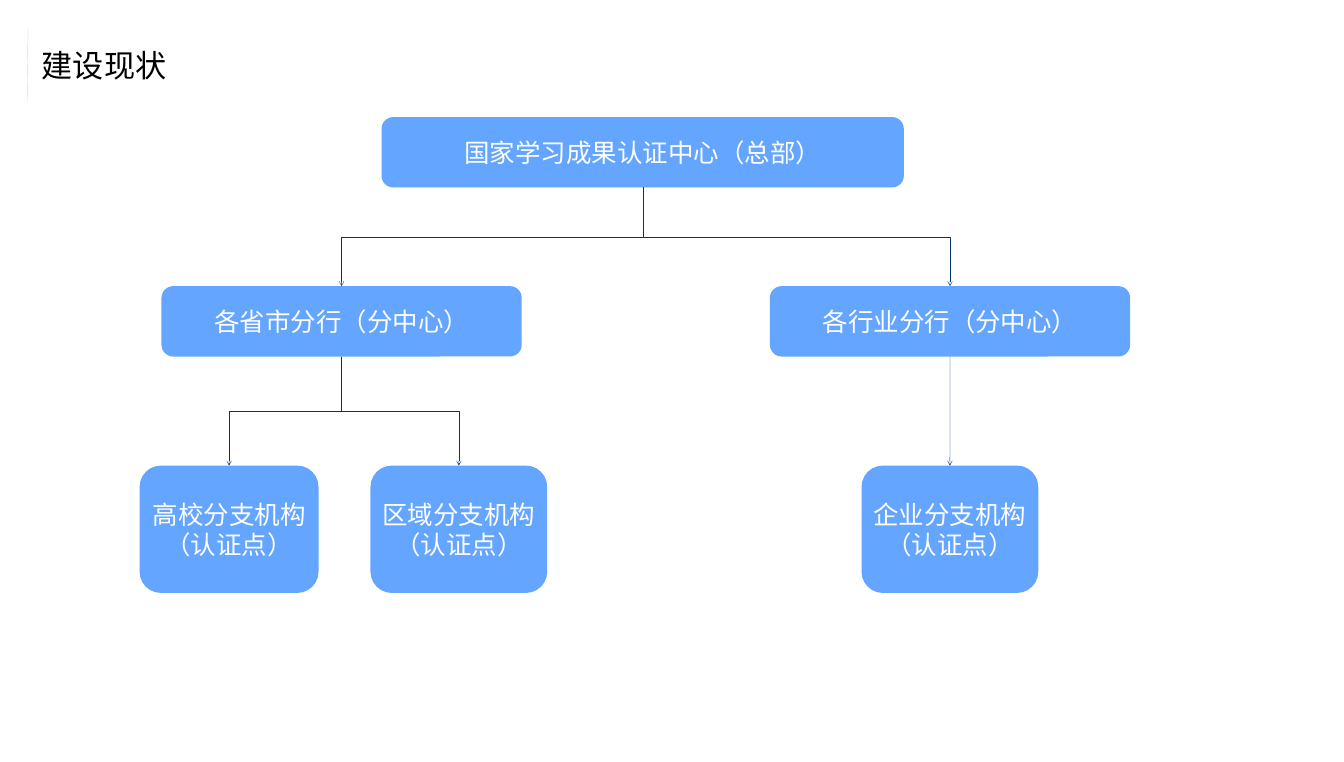
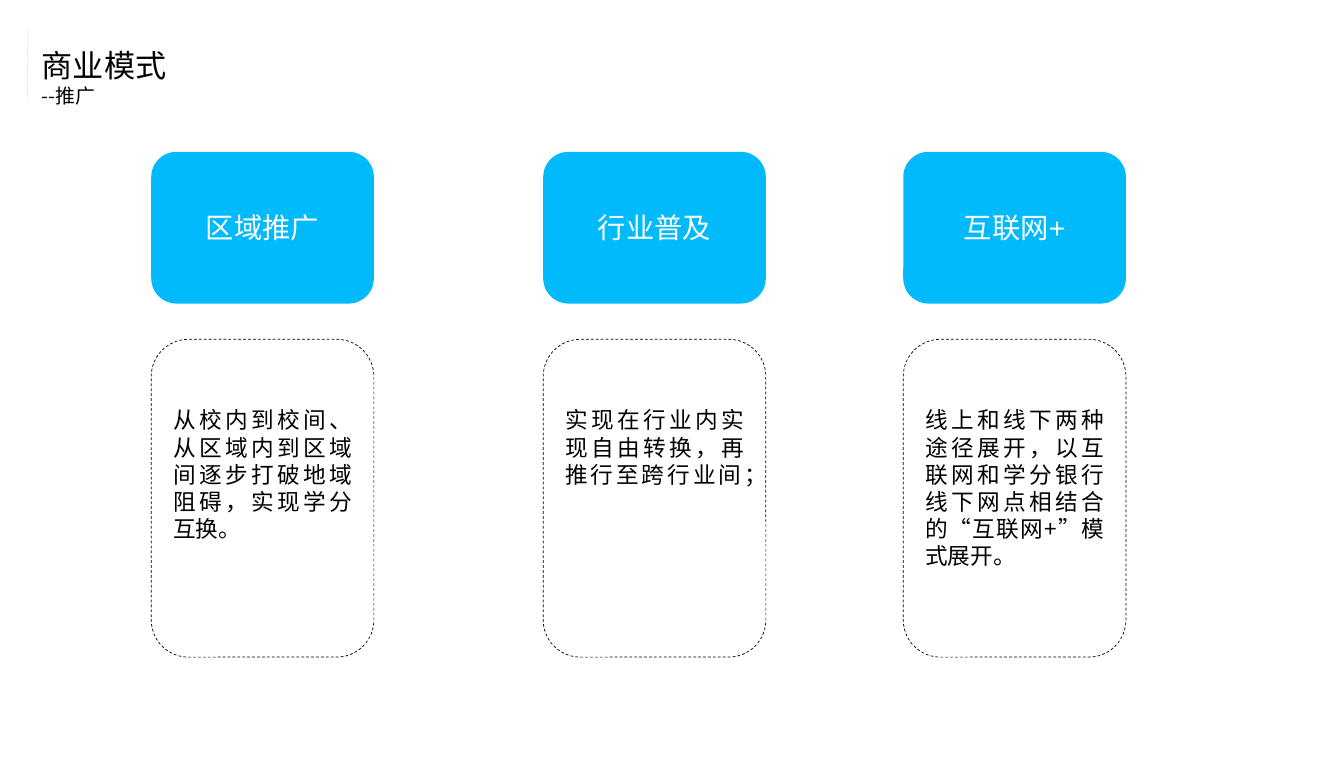
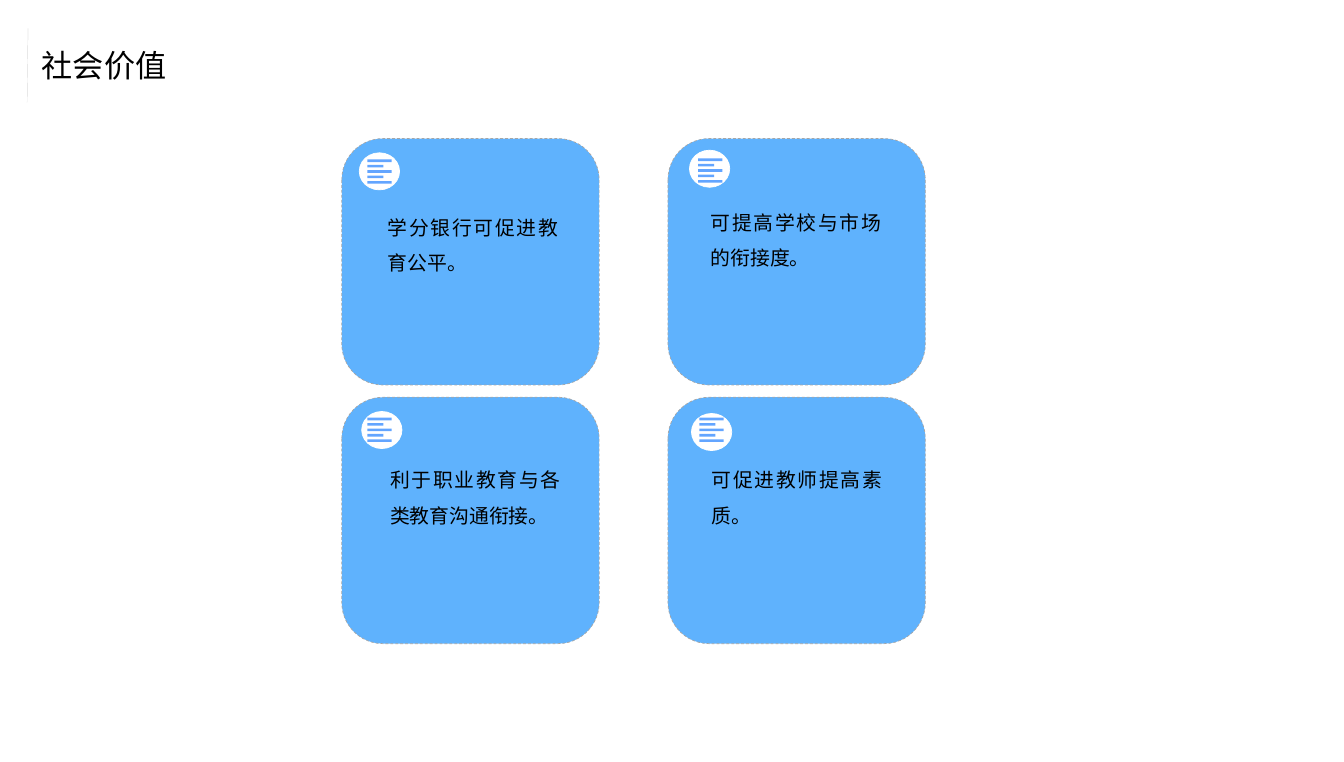
from dataclasses import dataclass
from typing import Any, NamedTuple

from lxml import etree
from pptx import Presentation
from pptx.dml.color import RGBColor
from pptx.enum.dml import MSO_LINE
from pptx.enum.shapes import MSO_CONNECTOR, MSO_SHAPE
from pptx.enum.text import MSO_ANCHOR, MSO_AUTO_SIZE, PP_ALIGN
from pptx.oxml.ns import qn
from pptx.util import Cm, Pt

ROUNDED, ELLIPSE = MSO_SHAPE.ROUNDED_RECTANGLE, MSO_SHAPE.OVAL
STRAIGHT, ELBOW = MSO_CONNECTOR.STRAIGHT, MSO_CONNECTOR.ELBOW
LEFT, CENTER, JUSTIFY = PP_ALIGN.LEFT, PP_ALIGN.CENTER, PP_ALIGN.JUSTIFY
TOP, MIDDLE = MSO_ANCHOR.TOP, MSO_ANCHOR.MIDDLE
GROW = MSO_AUTO_SIZE.SHAPE_TO_FIT_TEXT
DASH = MSO_LINE.DASH
BOTTOM_SITE, TOP_SITE = 2, 0
TITLE_ONLY = 5
QUARTER_TURN = "5400000"


@dataclass(frozen=True)
class Theme:
    black: str = "000000"
    white: str = "FFFFFF"
    node: str = "63A5FF"
    label: str = "00BAFB"
    card: str = "5FB2FD"
    card_edge: str = "A6A6A6"
    title_rule: str = "BFBFBF"
    connector: str = "003378"
    latin_font: str = "Arial"
    cjk_font: str = "Noto Sans CJK SC"
    title_size: int = 44
    subtitle_size: int = 28
    label_size: int = 40
    node_size: int = 36
    body_size: int = 32
    card_size: int = 28


THEME = Theme()


class Box(NamedTuple):
    left: float
    top: float
    width: float
    height: float


class TextStyle(NamedTuple):
    size: int
    color: str
    alignment: Any = LEFT
    font: str = THEME.cjk_font
    spacing: float | None = None


class Outline(NamedTuple):
    color: str
    width: float = 1
    dash: Any = None


class Node(NamedTuple):
    text: str
    box: Box
    parent: int | None = None


class Channel(NamedTuple):
    left: float
    label: str
    label_font: str
    description: str
    text_height: float


class ValueCard(NamedTuple):
    text: str
    card: tuple[float, float]
    badge: tuple[float, float]
    icon: tuple[float, float]
    words: tuple[float, float]


TITLE_STYLE = TextStyle(THEME.title_size, THEME.black)
SUBTITLE_STYLE = TextStyle(THEME.subtitle_size, THEME.black)
NODE_STYLE = TextStyle(THEME.node_size, THEME.white, CENTER, THEME.latin_font)
BODY_STYLE = TextStyle(THEME.body_size, THEME.black, JUSTIFY)
CARD_STYLE = TextStyle(THEME.card_size, THEME.black, JUSTIFY, spacing=1.5)

NODES = (
    Node("国家学习成果认证中心（总部）", Box(19.02, 5.84, 26.04, 3.51)),
    Node("各省市分行（分中心）", Box(8.05, 14.27, 17.96, 3.51), 0),
    Node("各行业分行（分中心）", Box(38.38, 14.27, 17.96, 3.51), 0),
    Node("高校分支机构（认证点）", Box(6.96, 23.22, 8.92, 6.35), 1),
    Node("区域分支机构（认证点）", Box(18.47, 23.22, 8.81, 6.35), 1),
    Node("企业分支机构（认证点）", Box(42.95, 23.22, 8.81, 6.35), 2),
)

CHANNELS = (
    Channel(7.54, "区域推广", THEME.cjk_font,
            "从校内到校间、从区域内到区域间逐步打破地域阻碍，实现学分互换。", 7.09),
    Channel(27.08, "行业普及", THEME.latin_font,
            "实现在行业内实现自由转换，再推行至跨行业间；", 4.37),
    Channel(45.03, "互联网+", THEME.latin_font,
            "线上和线下两种途径展开，以互联网和学分银行线下网点相结合的“互联网+”模式展开。", 8.46),
)

VALUE_CARDS = (
    ValueCard("学分银行可促进教育公平。",
              (17.04, 6.91), (17.91, 7.62), (18.31, 7.95), (19.08, 10.03)),
    ValueCard("可提高学校与市场的衔接度。",
              (33.3, 6.91), (34.37, 7.49), (34.8, 7.9), (35.18, 9.78)),
    ValueCard("利于职业教育与各类教育沟通衔接。",
              (17.04, 19.81), (18.03, 20.52), (18.31, 20.83), (19.2, 22.61)),
    ValueCard("可促进教师提高素质。",
              (33.3, 19.81), (34.47, 20.62), (34.87, 20.83), (35.23, 22.61)),
)


def apply(target: Any, values: dict[str, Any]) -> None:
    for name, value in values.items():
        setattr(target, name, value)


def lengths(box: Box) -> tuple[Cm, ...]:
    return tuple(Cm(value) for value in box)


def write_paragraph(paragraph: Any, text: str, style: TextStyle) -> None:
    apply(paragraph, {"alignment": style.alignment, "line_spacing": style.spacing})
    run = paragraph.add_run()
    run.text = text
    apply(run.font, {"size": Pt(style.size), "name": style.font})
    run.font.color.rgb = RGBColor.from_string(style.color)
    east_asian = etree.SubElement(run._r.get_or_add_rPr(), qn("a:ea"))
    east_asian.set("typeface", THEME.cjk_font)


def set_outline(line: Any, outline: Outline | None) -> None:
    if outline is None:
        line.fill.background()
        return
    line.color.rgb = RGBColor.from_string(outline.color)
    line.width = Pt(outline.width)
    if outline.dash is not None:
        line.dash_style = outline.dash


def set_fill(shape: Any, color: str | None) -> None:
    shape.shadow.inherit = False
    if color is None:
        shape.fill.background()
    else:
        shape.fill.solid()
        shape.fill.fore_color.rgb = RGBColor.from_string(color)


def add_panel(slide: Any, kind: Any, box: Box, fill: str | None = None,
              outline: Outline | None = None) -> Any:
    shape = slide.shapes.add_shape(kind, *lengths(box))
    set_fill(shape, fill)
    set_outline(shape.line, outline)
    return shape


def add_label(slide: Any, box: Box, fill: str, text: str, style: TextStyle) -> Any:
    shape = add_panel(slide, ROUNDED, box, fill)
    apply(shape.text_frame, {"word_wrap": True, "vertical_anchor": MIDDLE})
    write_paragraph(shape.text_frame.paragraphs[0], text, style)
    return shape


def add_text(slide: Any, box: Box, text: str, style: TextStyle) -> None:
    frame = slide.shapes.add_textbox(*lengths(box)).text_frame
    apply(frame, {"word_wrap": True, "auto_size": GROW, "vertical_anchor": TOP})
    write_paragraph(frame.paragraphs[0], text, style)


def finish_connector(connector: Any, outline: Outline, arrow: bool = False) -> None:
    set_outline(connector.line, outline)
    if arrow:
        line = connector.line._get_or_add_ln()
        etree.SubElement(line, qn("a:tailEnd")).set("type", "arrow")
    etree.SubElement(connector._element.spPr, qn("a:effectLst"))


def connect_nodes(slide: Any, parent: Any, child: Any) -> None:
    start_x, start_y = parent.left + parent.width // 2, parent.top + parent.height
    end_x, end_y = child.left + child.width // 2, child.top
    across, down = abs(end_x - start_x), end_y - start_y
    is_straight = across < Cm(0.1)
    kind = STRAIGHT if is_straight else ELBOW
    connector = slide.shapes.add_connector(kind, start_x, start_y, end_x, end_y)
    connector.begin_connect(parent, BOTTOM_SITE)
    connector.end_connect(child, TOP_SITE)
    if not is_straight:
        apply(connector, {
            "left": (start_x + end_x - down) // 2,
            "top": (start_y + end_y - across) // 2,
            "width": down,
            "height": across,
        })
        transform = connector._element.spPr.find(qn("a:xfrm"))
        transform.set("rot", QUARTER_TURN)
        transform.set("flipH", "0")
        transform.set("flipV", "1" if end_x > start_x else "0")
    finish_connector(connector, Outline(THEME.connector, 0.5), arrow=True)


def add_lines_icon(slide: Any, left: float, top: float) -> None:
    long_bar, short_bar, thickness, pitch = 1.21, 0.8, 0.13, 0.27
    builder = None
    for row in range(5):
        right = left + (short_bar if row % 2 else long_bar)
        upper = top + row * pitch
        lower = upper + thickness
        corners = [(Cm(x), Cm(y)) for x, y in
                   ((left, upper), (right, upper), (right, lower), (left, lower))]
        if builder is None:
            builder = slide.shapes.build_freeform(*corners[0])
        else:
            builder.move_to(*corners[0])
        builder.add_line_segments(corners[1:], close=True)
    icon = builder.convert_to_shape()
    set_fill(icon, THEME.node)
    set_outline(icon.line, None)


def add_titled_slide(presentation: Any, title: str, subtitle: str | None = None) -> Any:
    slide = presentation.slides.add_slide(presentation.slide_layouts[TITLE_ONLY])
    rule = slide.shapes.add_connector(STRAIGHT, Cm(1.4), Cm(1.42), Cm(1.35), Cm(5.11))
    finish_connector(rule, Outline(THEME.title_rule, 0.25))
    placeholder = slide.shapes.title
    apply(placeholder, {"left": Cm(1.83), "top": Cm(2.18), "width": Cm(7.34),
                        "height": Cm(3.33 if subtitle else 2.13)})
    frame = placeholder.text_frame
    apply(frame, {"word_wrap": True, "auto_size": GROW, "vertical_anchor": TOP})
    write_paragraph(frame.paragraphs[0], title, TITLE_STYLE)
    if subtitle:
        paragraph = frame.add_paragraph()
        paragraph.space_before = Pt(0)
        write_paragraph(paragraph, subtitle, SUBTITLE_STYLE)
    return slide


def build_status_slide(presentation: Any) -> None:
    slide = add_titled_slide(presentation, "建设现状")
    shapes = [add_label(slide, node.box, THEME.node, node.text, NODE_STYLE)
              for node in NODES]
    for node, shape in zip(NODES, shapes):
        if node.parent is not None:
            connect_nodes(slide, shapes[node.parent], shape)


def build_model_slide(presentation: Any) -> None:
    slide = add_titled_slide(presentation, "商业模式", "--推广")
    width = 11.1
    for channel in CHANNELS:
        label_style = TextStyle(THEME.label_size, THEME.white, CENTER, channel.label_font)
        add_label(slide, Box(channel.left, 7.57, width, 7.57), THEME.label,
                  channel.label, label_style)
        add_panel(slide, ROUNDED, Box(channel.left, 16.92, width, 15.85),
                  outline=Outline(THEME.black, dash=DASH))
        add_text(slide, Box(channel.left + 0.84, 20.14, 9.45, channel.text_height),
                 channel.description, BODY_STYLE)


def build_value_slide(presentation: Any) -> None:
    slide = add_titled_slide(presentation, "社会价值")
    for value in VALUE_CARDS:
        add_panel(slide, ROUNDED, Box(*value.card, 12.83, 12.29), THEME.card,
                  Outline(THEME.card_edge, dash=DASH))
        add_panel(slide, ELLIPSE, Box(*value.badge, 2.01, 1.85), THEME.white,
                  Outline(THEME.white))
        add_text(slide, Box(*value.words, 8.99, 3.84), value.text, CARD_STYLE)
        add_lines_icon(slide, *value.icon)


def main() -> None:
    presentation = Presentation()
    apply(presentation, {"slide_width": Cm(67), "slide_height": Cm(38)})
    for build in (build_status_slide, build_model_slide, build_value_slide):
        build(presentation)
    presentation.save("out.pptx")


if __name__ == "__main__":
    main()
